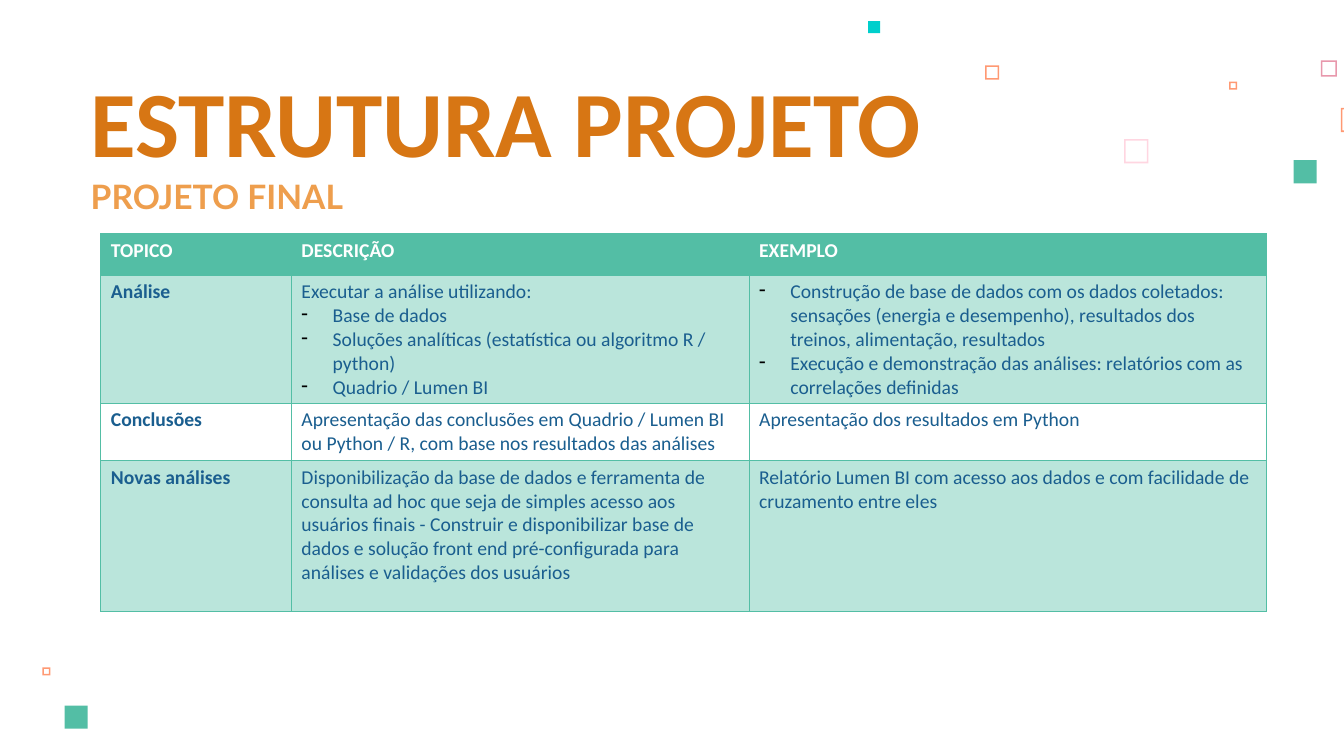
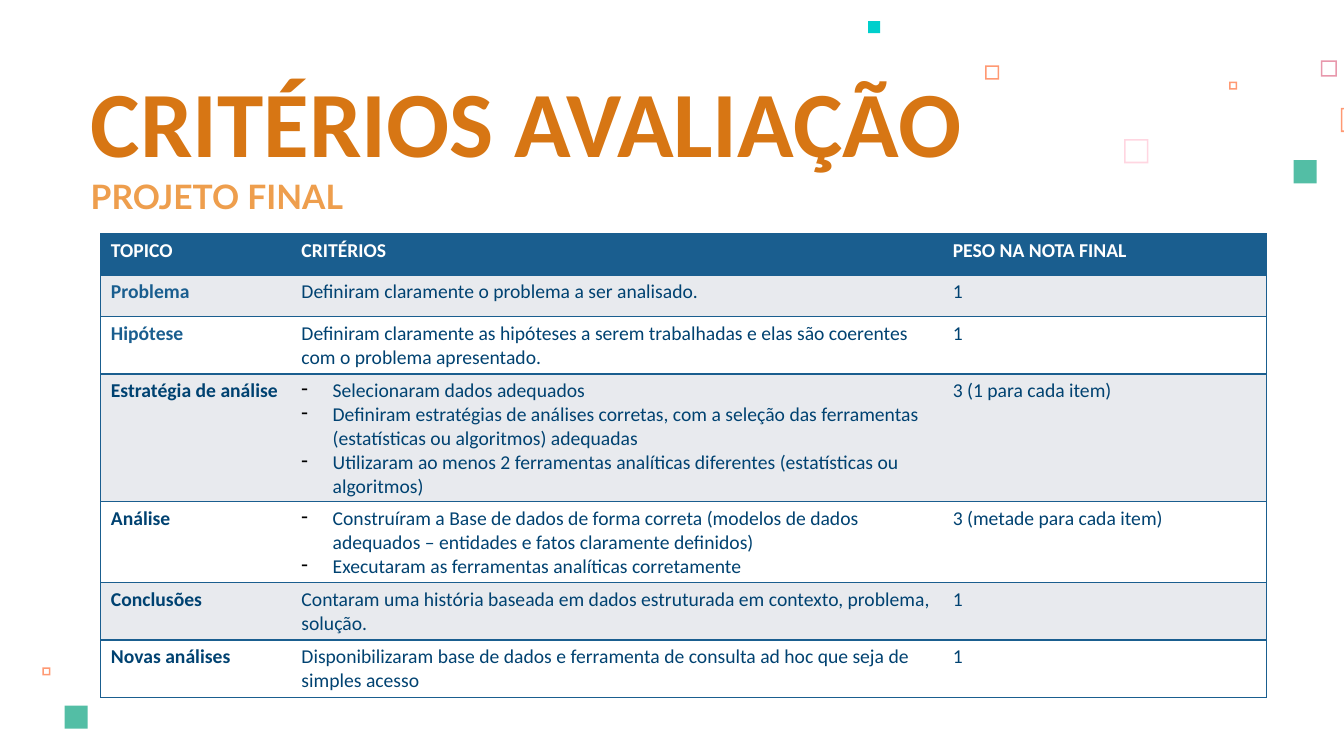
"""Build the two final-project slides: project structure and grading criteria."""
from lxml.etree import SubElement
from pptx import Presentation
from pptx.dml.color import RGBColor
from pptx.enum.shapes import MSO_SHAPE as Preset
from pptx.enum.text import MSO_ANCHOR as Anchor
from pptx.oxml import parse_xml
from pptx.oxml.ns import nsdecls, qn
from pptx.util import Inches, Pt

COLORS = {
    "title": "D77614", "subtitle": "EE9E4D", "white": "FFFFFF", "black": "000000",
    "green": "53BEA5", "cyan": "00CFCC", "coral": "FF9973", "rose": "E898AC",
    "blush": "FFD6E1", "blue": "1A5E8F", "navy": "004271", "gray": "E8EAEE",
}
OUTLINED = [
    (11.15, 1.38, 0.24, "blush"), (13.1, 0.6, 0.16, "rose"), (12.19, 0.81, 0.08, "coral"),
    (13.3, 1.07, 0.24, "coral"), (9.77, 0.65, 0.14, "coral"), (0.42, 6.62, 0.08, "coral"),
]
SOLID = [(12.83, 1.59, 0.23, "green"), (8.61, 0.21, 0.12, "cyan"), (0.64, 7, 0.23, "green")]
FRAME_WIDTH = 0.015
INDENT = Inches(0.31)

STRUCTURE = {
    "title": "ESTRUTURA PROJETO",
    "accent": "green", "body": "blue", "accent_labels": 0, "line": 0.75, "inner_lines": True,
    "bands": (("green", 40), None),
    "columns": (1.89, 4.54, 5.13),
    "heights": (0.41, 1.27, 0.57, 1.5),
    "rows": [
        ("TOPICO", "DESCRIÇÃO", "EXEMPLO"),
        ("Análise",
         ("Executar a análise utilizando:", "- Base de dados",
          "- Soluções analíticas (estatística ou algoritmo R / python)",
          "- Quadrio / Lumen BI"),
         ("- Construção de base de dados com os dados coletados: sensações (energia e "
          "desempenho), resultados dos treinos, alimentação, resultados",
          "- Execução e demonstração das análises: relatórios com as correlações definidas")),
        ("Conclusões",
         "Apresentação das conclusões em Quadrio / Lumen BI ou Python / R, com base nos "
         "resultados das análises",
         "Apresentação dos resultados em Python"),
        ("Novas análises",
         "Disponibilização da base de dados e ferramenta de consulta ad hoc que seja de "
         "simples acesso aos usuários finais - Construir e disponibilizar base de dados e "
         "solução front end pré-configurada para análises e validações dos usuários",
         "Relatório Lumen BI com acesso aos dados e com facilidade de cruzamento entre eles"),
    ],
}
CRITERIA = {
    "title": "CRITÉRIOS AVALIAÇÃO",
    "accent": "blue", "body": "navy", "accent_labels": 2, "line": 1, "inner_lines": False,
    "bands": (("gray", 100), ("white", 100)),
    "columns": (1.89, 6.46, 3.21),
    "heights": (0.41, 0.41, 0.57, 1.27, 0.8, 0.57, 0.57),
    "rows": [
        ("TOPICO", "CRITÉRIOS", "PESO NA NOTA FINAL"),
        ("Problema", "Definiram claramente o problema a ser analisado.", "1"),
        ("Hipótese",
         "Definiram claramente as hipóteses a serem trabalhadas e elas são coerentes com o "
         "problema apresentado.", "1"),
        ("Estratégia de análise",
         ("- Selecionaram dados adequados",
          "- Definiram estratégias de análises corretas, com a seleção das ferramentas "
          "(estatísticas ou algoritmos) adequadas",
          "- Utilizaram ao menos 2 ferramentas analíticas diferentes (estatísticas ou "
          "algoritmos)"),
         "3 (1 para cada item)"),
        ("Análise",
         ("- Construíram a Base de dados de forma correta (modelos de dados adequados – "
          "entidades e fatos claramente definidos)",
          "- Executaram as ferramentas analíticas corretamente"),
         "3 (metade para cada item)"),
        ("Conclusões",
         "Contaram uma história baseada em dados estruturada em contexto, problema, solução.",
         "1"),
        ("Novas análises",
         "Disponibilizaram base de dados e ferramenta de consulta ad hoc que seja de simples "
         "acesso", "1"),
    ],
}


def color(name):
    return RGBColor.from_string(COLORS[name])


def add_run(para, text, size, ink, bold=True, font="Calibri"):
    span = para.add_run()
    span.text = text
    span.font.size, span.font.bold, span.font.name = Pt(size), bold, font
    span.font.color.rgb = color(ink)


def add_square(page, left, top, side, ink, outlined):
    preset = Preset.FRAME if outlined else Preset.RECTANGLE
    square = page.shapes.add_shape(preset, *map(Inches, (left, top, side, side)))
    if outlined:
        square.adjustments[0] = FRAME_WIDTH / side
    square.shadow.inherit = False
    square.fill.solid()
    square.fill.fore_color.rgb = color(ink)
    square.line.fill.background()


def add_heading(page, text, place, margin, size, ink, font, anchor, spacing):
    box = page.shapes.add_textbox(*map(Inches, place))
    frame = box.text_frame
    frame.word_wrap = True
    frame.vertical_anchor = anchor
    frame.margin_left = frame.margin_right = Inches(0.13)
    frame.margin_top = frame.margin_bottom = Inches(margin)
    para = frame.paragraphs[0]
    para.line_spacing = spacing
    add_run(para, text, size, ink, font=font)


def add_bullet(para):
    props = para._p.get_or_add_pPr()
    props.set("marL", str(INDENT))
    props.set("indent", str(-INDENT))
    ink = SubElement(SubElement(props, qn("a:buClr")), qn("a:srgbClr"))
    ink.set("val", COLORS["black"])
    SubElement(props, qn("a:buChar")).set("char", "-")


def write_cell(cell, content, ink, bold):
    lines = (content,) if isinstance(content, str) else content
    for number, line in enumerate(lines):
        para = cell.text_frame.add_paragraph() if number else cell.text_frame.paragraphs[0]
        if line.startswith("- "):
            add_bullet(para)
        add_run(para, line.removeprefix("- "), 14, ink, bold)


def fill_cell(cell, band):
    if band is None:
        cell.fill.background()
        return
    ink, opacity = band
    cell.fill.solid()
    cell.fill.fore_color.rgb = color(ink)
    if opacity < 100:
        tone = cell._tc.tcPr.find(".//" + qn("a:srgbClr"))
        SubElement(tone, qn("a:alpha")).set("val", str(opacity * 1000))


def border_cell(cell, ink, width, hidden):
    for position, side in enumerate("LRTB"):
        paint = ("<a:noFill/>" if side in hidden else
                 f'<a:solidFill><a:srgbClr val="{COLORS[ink]}"/></a:solidFill>')
        line = parse_xml(f'<a:ln{side} {nsdecls("a")} w="{Pt(width)}">{paint}</a:ln{side}>')
        cell._tc.get_or_add_tcPr().insert(position, line)


def add_grid(page, topic):
    columns, heights, accent = topic["columns"], topic["heights"], topic["accent"]
    place = map(Inches, (1, 2.32, sum(columns), sum(heights)))
    grid = page.shapes.add_table(len(heights), len(columns), *place).table
    grid.first_row = grid.horz_banding = False
    for column, width in zip(grid.columns, columns):
        column.width = Inches(width)
    for row, (height, contents) in enumerate(zip(heights, topic["rows"])):
        grid.rows[row].height = Inches(height)
        band = topic["bands"][(row - 1) % 2] if row else (accent, 100)
        for col, content in enumerate(contents):
            cell = grid.cell(row, col)
            label = col == 0
            ink = accent if label and row <= topic["accent_labels"] else topic["body"]
            write_cell(cell, content, ink if row else "white", label or row == 0)
            fill_cell(cell, band)
            inner = ("" if label else "L") + ("R" if col < len(columns) - 1 else "")
            border_cell(cell, accent, topic["line"], "" if topic["inner_lines"] else inner)


def add_page(deck, topic):
    page = deck.slides.add_slide(deck.slide_layouts[6])
    for squares, outlined in ((OUTLINED, True), (SOLID, False)):
        for square in squares:
            add_square(page, *square, outlined)
    add_heading(page, topic["title"], (0.77, 1.04, 11.78, 0.84), 0.13, 66.7, "title",
                "Calibri", Anchor.BOTTOM, 1.0)
    add_heading(page, "PROJETO FINAL", (0.77, 1.48, 6.56, 0.74), 0.07, 24, "subtitle",
                "Lato", Anchor.TOP, 1.5)
    add_grid(page, topic)


def main():
    deck = Presentation()
    deck.slide_width, deck.slide_height = Inches(13.33), Inches(7.5)
    for topic in (STRUCTURE, CRITERIA):
        add_page(deck, topic)
    deck.save("out.pptx")


if __name__ == "__main__":
    main()
